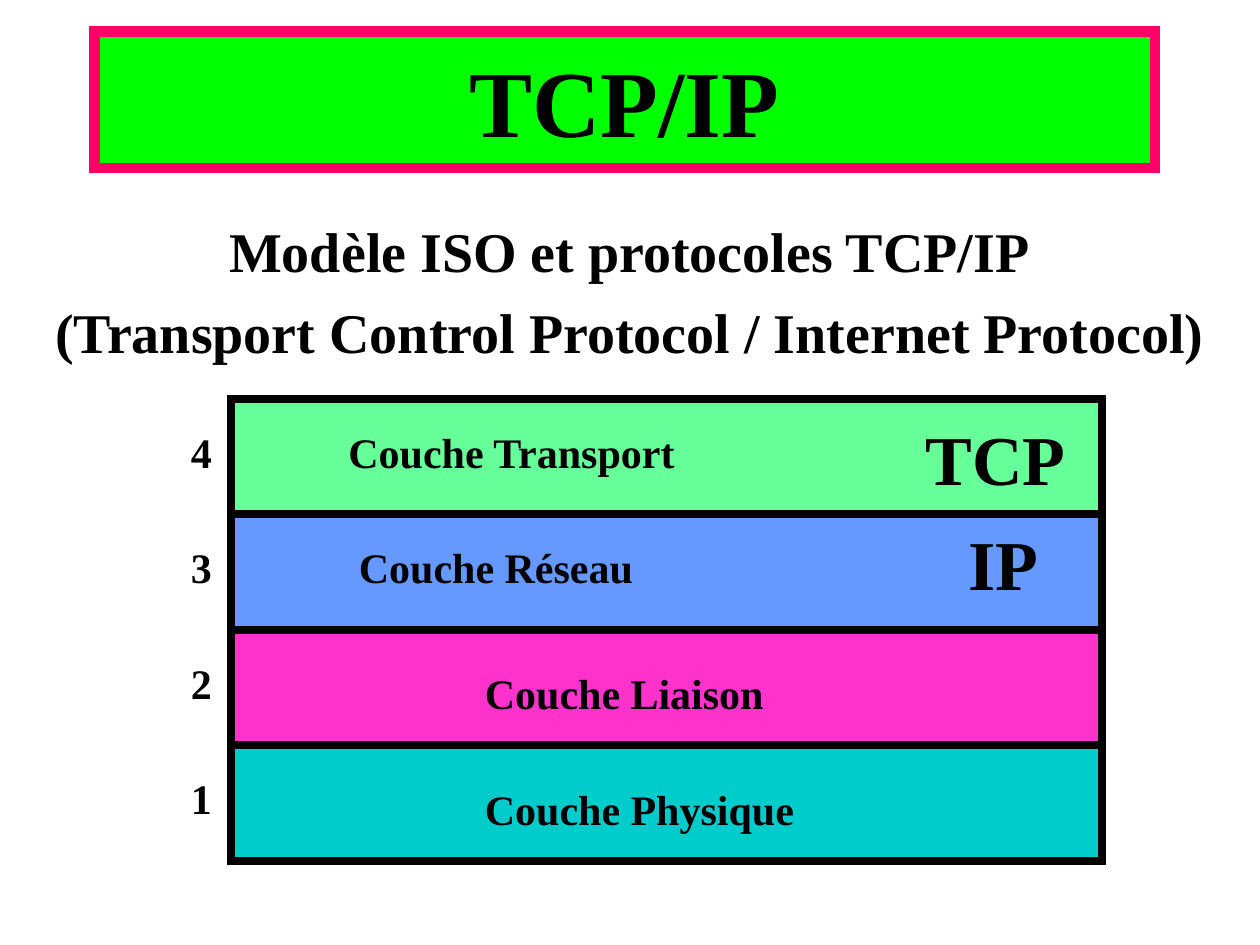
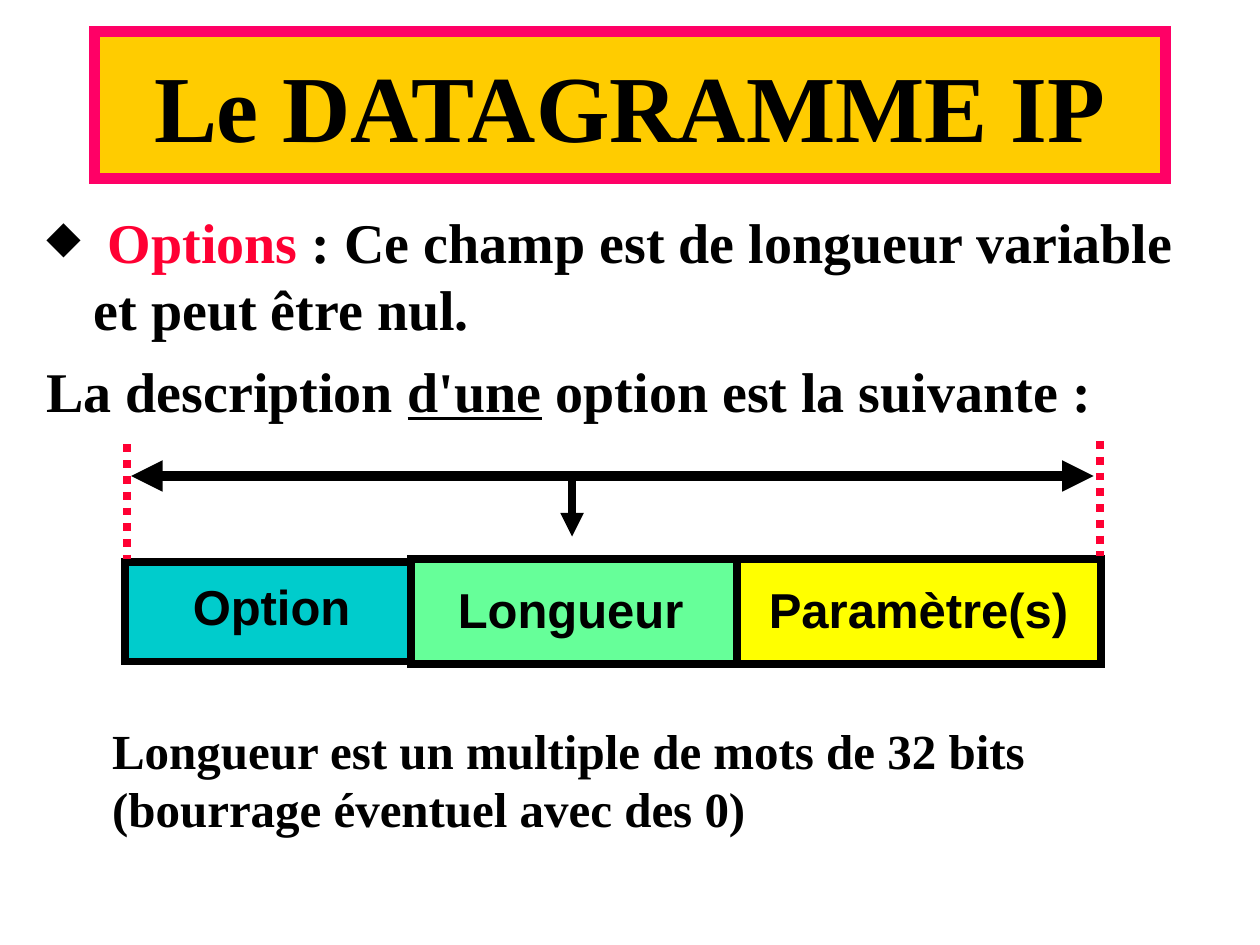
from lxml import etree
from pptx import Presentation
from pptx.dml.color import RGBColor
from pptx.enum.dml import MSO_LINE
from pptx.enum.shapes import MSO_CONNECTOR, MSO_SHAPE
from pptx.enum.text import MSO_ANCHOR, PP_ALIGN
from pptx.oxml.ns import qn
from pptx.util import Pt

RECTANGLE = MSO_SHAPE.RECTANGLE
STRAIGHT = MSO_CONNECTOR.STRAIGHT
DOTTED = MSO_LINE.ROUND_DOT
MIDDLE = MSO_ANCHOR.MIDDLE
LEFT = PP_ALIGN.LEFT
CENTER = PP_ALIGN.CENTER

SERIF = "Times New Roman"
SANS = "Arial"
BLACK = "000000"
RED = "FF0033"
PINK = "FF0066"
LIME = "00FF00"
GOLD = "FFCC00"
TEAL = "00CCCC"
MINT = "66FF99"
BLUE = "6699FF"
MAGENTA = "FF33CC"
YELLOW = "FFFF00"


def color(hex_value):
    return RGBColor.from_string(hex_value)


def format_runs(paragraph, size, font=SERIF, align=LEFT):
    paragraph.alignment = align
    for run in paragraph.runs:
        run.font.name = font
        run.font.size = Pt(size)
        run.font.bold = True
        run.font.color.rgb = color(BLACK)


def add_rectangle(slide, box, fill, line, width):
    shape = slide.shapes.add_shape(RECTANGLE, *map(Pt, box))
    shape.shadow.inherit = False
    shape.fill.solid()
    shape.fill.fore_color.rgb = color(fill)
    shape.line.color.rgb = color(line)
    shape.line.width = Pt(width)
    etree.SubElement(shape.line._get_or_add_ln(), qn("a:miter"), lim="800000")
    return shape


def add_text(slide, box, text, size, font=SERIF, align=LEFT, gap=0):
    text_frame = slide.shapes.add_textbox(*map(Pt, box)).text_frame
    text_frame.word_wrap = True
    text_frame.text = text
    for index, paragraph in enumerate(text_frame.paragraphs):
        format_runs(paragraph, size, font, align)
        if gap and index:
            paragraph.space_before = Pt(gap)
    return text_frame


def add_line(slide, start, end, line, width, arrows=()):
    connector = slide.shapes.add_connector(STRAIGHT, *map(Pt, start + end))
    connector.line.color.rgb = color(line)
    connector.line.width = Pt(width)
    properties = connector.line._get_or_add_ln()
    for arrow in arrows:
        etree.SubElement(properties, qn(f"a:{arrow}"), type="triangle")
    etree.SubElement(connector._element.spPr, qn("a:effectLst"))
    return connector


def add_title(slide, box, text, fill):
    shape = add_rectangle(slide, box, fill, PINK, 6)
    shape.text_frame.word_wrap = True
    shape.text_frame.vertical_anchor = MIDDLE
    shape.text_frame.text = text
    format_runs(shape.text_frame.paragraphs[0], 54, align=CENTER)


def add_layer_stack(slide, box):
    left, top, width, height = box
    layers = [
        ("Couche Transport", MINT, 60, 12),
        ("Couche Réseau", BLUE, 66, 12),
        ("Couche Liaison", MAGENTA, 138, 18),
        ("Couche Physique", TEAL, 138, 18),
    ]
    row = height / len(layers)
    for index, (name, fill, indent, drop) in enumerate(layers):
        y = top + index * row
        add_rectangle(slide, (left, y, width, row), fill, BLACK, 4.5)
        add_text(slide, (left + indent, y + drop, 208, 36), name, 24)
        number = str(len(layers) - index)
        add_text(slide, (left - 30, y + 12, 28, 36), number, 24)
    add_text(slide, (left + 390, top + 6, 104, 55), "TCP", 40)
    add_text(slide, (left + 414.5, top + row, 70, 55), "IP", 40)


def add_option_body(slide, box):
    text = " Options : Ce champ est de longueur variable et peut être nul."
    description = "La description d'une option est la suivante :"
    text_frame = add_text(slide, box, "", 32)
    first = text_frame.paragraphs[0]
    second = text_frame.add_paragraph()
    second.space_before = Pt(8)
    for paragraph, sentence, keyword in (
        (first, text, "Options"),
        (second, description, "d'une"),
    ):
        for part in sentence.partition(keyword):
            paragraph.add_run().text = part
    properties = first._p.get_or_add_pPr()
    properties.set("marL", str(Pt(27)))
    properties.set("indent", str(-Pt(27)))
    bullet_color = etree.SubElement(properties, qn("a:buClr"))
    etree.SubElement(bullet_color, qn("a:srgbClr"), val=BLACK)
    etree.SubElement(properties, qn("a:buSzPct"), val="80000")
    etree.SubElement(properties, qn("a:buChar"), char="◆")
    for paragraph in (first, second):
        format_runs(paragraph, 32)
    first.runs[1].font.color.rgb = color(RED)
    second.runs[1].font.underline = True


def add_option_layout(slide, box):
    left, top, width, height = box
    fields = [
        ("Option", TEAL, (0, 69, 165.6, 57), (9.4, 74, 149)),
        ("Longueur", MINT, (163.4, 67.6, 187.2, 60), (167.7, 75.6, 174.2)),
        ("Paramètre(s)", YELLOW, (350, 67.6, 208, 60), (357.8, 75.6, 191.5)),
    ]
    for name, fill, (x, y, cell_width, cell_height), label in fields:
        cell = (left + x, top + y, cell_width, cell_height)
        add_rectangle(slide, cell, fill, BLACK, 4.5)
        label_x, label_y, label_width = label
        label_box = (left + label_x, top + label_y, label_width, 41)
        add_text(slide, label_box, name, 28, SANS, CENTER)
    right = left + width
    axis = top + 20
    add_line(slide, (right - 4.4, axis), (left + 3.6, axis), BLACK, 6, ("headEnd", "tailEnd"))
    for x, y in ((left + 1.4, top + 2), (right - 0.8, top)):
        add_line(slide, (x, y), (x, y + 65.6), RED, 4.5).line.dash_style = DOTTED
    middle = left + 255.6
    add_line(slide, (middle, axis), (middle, axis + 34.6), BLACK, 4.5, ("tailEnd",))


def build_protocol_slide(slide):
    add_title(slide, (54, 18, 606, 78), "TCP/IP", LIME)
    heading = "Modèle ISO et protocoles TCP/IP\n(Transport Control Protocol / Internet Protocol)"
    add_text(slide, (18, 120, 684, 108), heading, 32, align=CENTER, gap=8)
    add_layer_stack(slide, (132, 228, 498, 264))


def build_datagram_slide(slide):
    add_option_body(slide, (19.4, 115.2, 661, 149))
    add_title(slide, (54, 18, 612, 84), "Le DATAGRAMME IP", GOLD)
    add_option_layout(slide, (71.3, 252, 558, 128))
    remark = "Longueur est un multiple de mots de 32 bits\n(bourrage éventuel avec des 0)"
    add_text(slide, (57, 408, 634, 75), remark, 28)


def main():
    presentation = Presentation()
    presentation.slide_width = Pt(720)
    presentation.slide_height = Pt(540)
    for build in (build_protocol_slide, build_datagram_slide):
        build(presentation.slides.add_slide(presentation.slide_layouts[6]))
    presentation.save("out.pptx")


if __name__ == "__main__":
    main()
